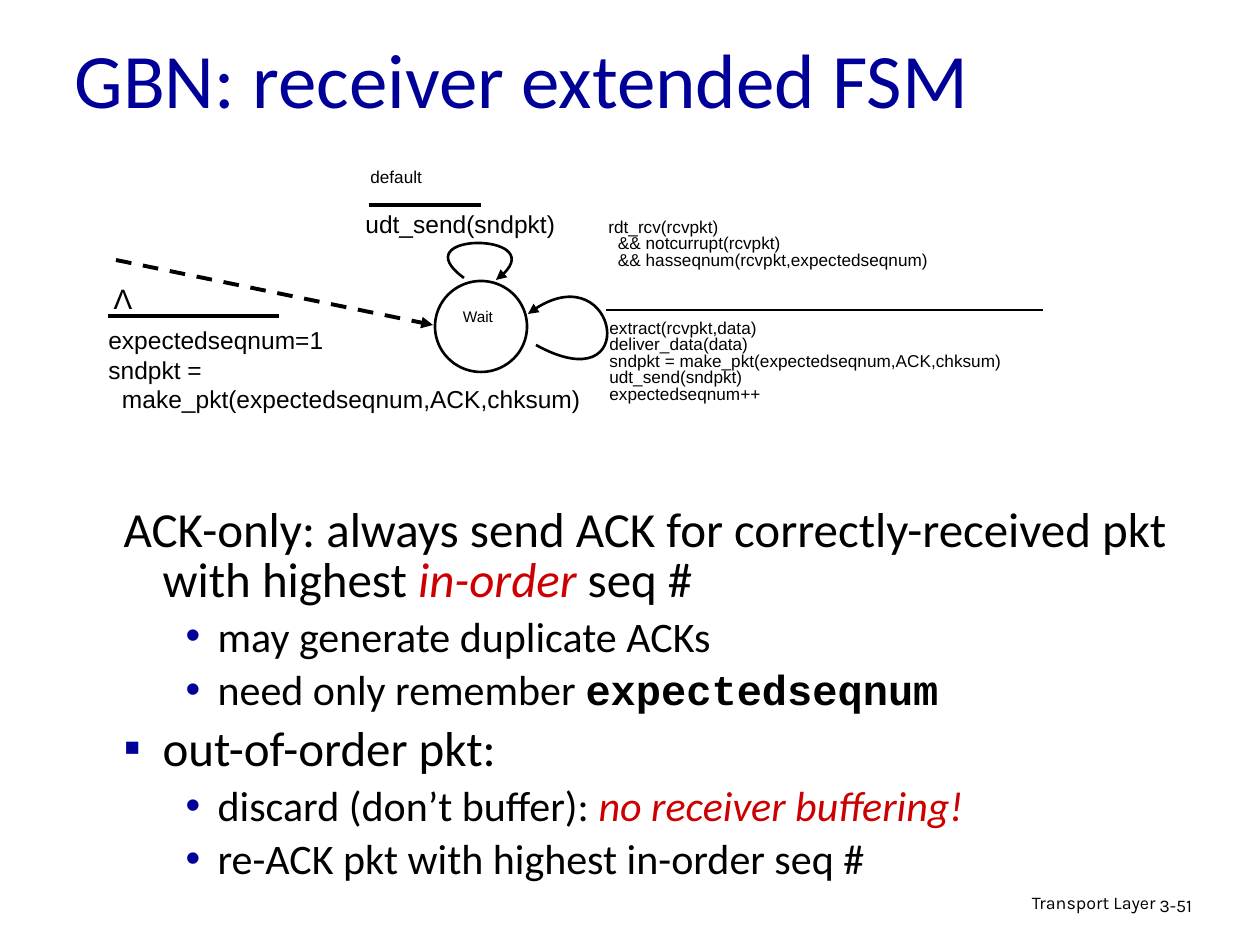
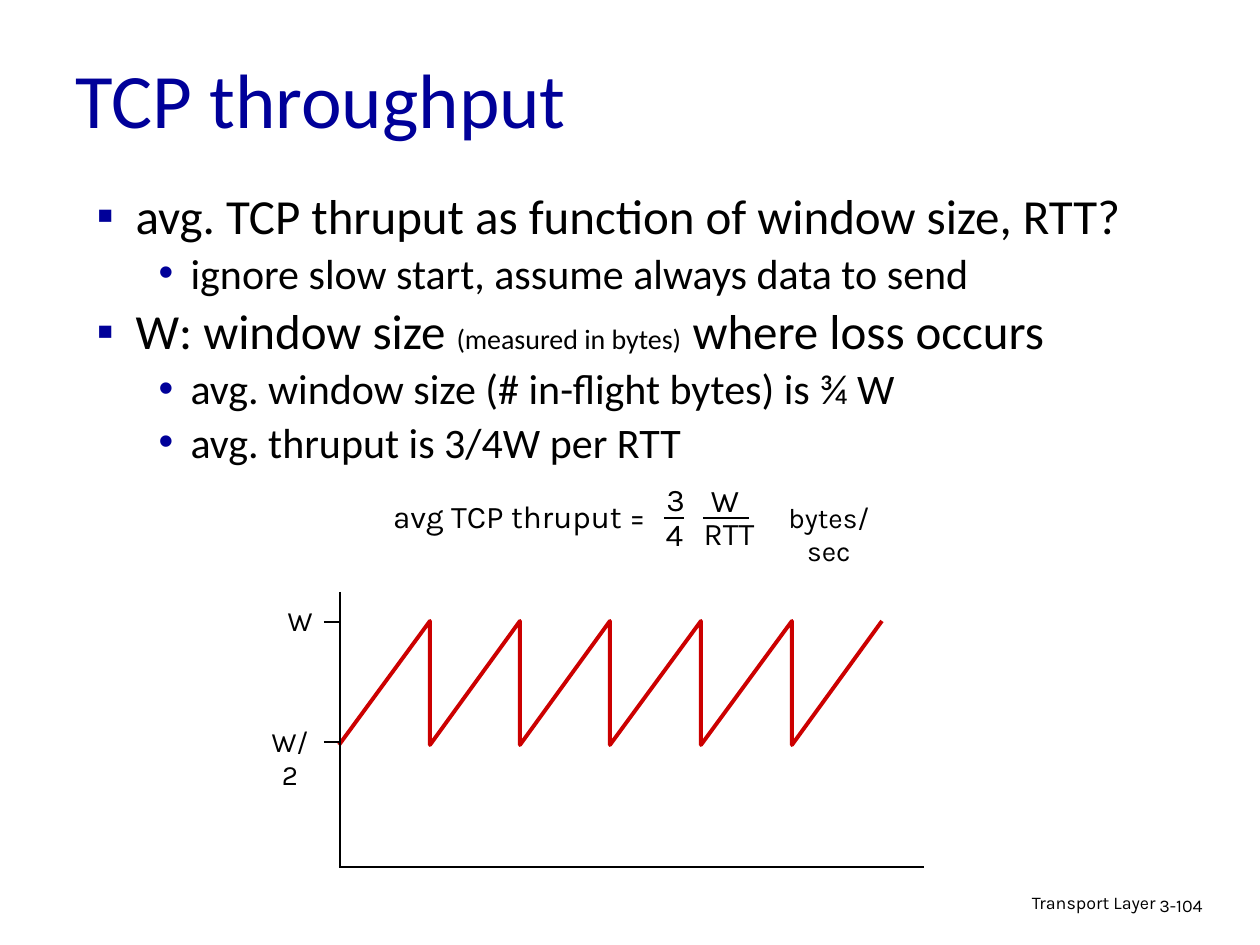
from lxml.etree import SubElement
from pptx import Presentation
from pptx.dml.color import RGBColor
from pptx.enum.dml import MSO_LINE
from pptx.enum.shapes import MSO_CONNECTOR, MSO_SHAPE
from pptx.enum.text import MSO_ANCHOR, MSO_AUTO_SIZE, PP_ALIGN
from pptx.oxml.ns import qn
from pptx.util import Emu, Pt

PX = 914400 / 126


class Theme:
    black = RGBColor(0x00, 0x00, 0x00)
    white = RGBColor(0xFF, 0xFF, 0xFF)
    blue = RGBColor(0x00, 0x00, 0x99)
    red = RGBColor(0xCC, 0x00, 0x00)
    text, code, diagram, note = "Calibri", "Courier New", "Arial", "Karla"
    title_size = 44
    thin, thick = Pt(1.5), Pt(2.25)
    # Body paragraphs: level, bullet, left margin, hanging indent, size, space before
    body = {
        "lead": (0, None, 39, 39, 28, 7),
        "point": (0, "▪", 39, 39, 28, 7),
        "detail": (1, "•", 94, 32, 24, 6),
    }
    # Labels: font, size, alignment, line spacing, wrap
    labels = {
        "footer": (note, 10.2, PP_ALIGN.RIGHT, 0.9, True),
        "number": (note, 10.2, PP_ALIGN.LEFT, 0.9, True),
        "state": (diagram, 8.8, PP_ALIGN.CENTER, 0.8, True),
        "event": (diagram, 9.8, PP_ALIGN.LEFT, 0.8, True),
        "action": (diagram, 14, PP_ALIGN.LEFT, 1.0, True),
        "symbol": (diagram, 16, PP_ALIGN.CENTER, 1.0, False),
        "axis": (note, 16, PP_ALIGN.CENTER, 1.0, True),
        "formula": (note, 18, PP_ALIGN.CENTER, 1.0, False),
    }


def emu(*lengths):
    """Turn px lengths into EMU."""
    return [Emu(round(length * PX)) for length in lengths]


def add_span(para, text, color=Theme.black, size=None, **formats):
    span = para.add_run()
    span.text = text
    span.font.color.rgb = color
    span.font.size = Pt(size)
    for name, value in formats.items():
        setattr(span.font, name, value)


emphasis = {"color": Theme.red, "italic": True}
variable = {"name": Theme.code, "bold": True}

# Sawtooth between W/2 and W: rise over one step, then drop
saw_left, saw_step, saw_high, saw_low = 339, 90.5, 621, 745
sawtooth = []
for tooth in range(6):
    start = saw_left + tooth * saw_step
    sawtooth += [(start, saw_low), (start + saw_step, saw_high)]

slides = [
    {
        "title": ("GBN: receiver extended FSM", (62, 29, 1071, 97)),
        "number": "3-51",
        "body_box": (111, 501, 1123, 393),
        "body": [
            ("lead", [
                ("ACK-only: always send ACK for correctly-received pkt with highest ", {}),
                ("in-order", emphasis),
                (" seq #", {}),
            ]),
            ("detail", [("may generate duplicate ACKs", {})]),
            ("detail", [("need only remember ", {}), ("expectedseqnum", variable)]),
            ("point", [("out-of-order pkt:", {})]),
            ("detail", [("discard (don’t buffer): ", {}), ("no receiver buffering!", emphasis)]),
            ("detail", [("re-ACK pkt with highest in-order seq #", {})]),
        ],
        "states": [(435, 281, 92, 91)],
        "loops": [
            [(536, 345), (643, 404), (617, 246), (528, 314)],
            [(464, 278), (401, 232), (561, 232), (496, 280)],
        ],
        "zigzags": [],
        "lines": [
            ((369, 205, 481, 205), Theme.thick),
            ((606, 310, 1043, 310), Theme.thin),
            ((108, 316, 279, 316), Theme.thick),
        ],
        "arrows": [(116, 260, 433, 325)],
        "labels": [
            ("state", "Wait", (423, 305, 110, 33)),
            ("action", "udt_send(sndpkt)", (353, 203, 223, 43)),
            ("event", "default", (358, 164, 100, 34)),
            ("event", "rdt_rcv(rcvpkt)\n  && notcurrupt(rcvpkt)\n"
                      "  && hasseqnum(rcvpkt,expectedseqnum)", (596, 214, 491, 78)),
            ("event", "extract(rcvpkt,data)\ndeliver_data(data)\n"
                      "sndpkt = make_pkt(expectedseqnum,ACK,chksum)\n"
                      "udt_send(sndpkt)\nexpectedseqnum++", (597, 315, 595, 118)),
            ("action", "expectedseqnum=1\nsndpkt =\n"
                       "  make_pkt(expectedseqnum,ACK,chksum)", (96, 319, 501, 135)),
            ("symbol", "Λ", (101, 275, 44, 47)),
        ],
    },
    {
        "title": ("TCP throughput", (63, 33, 1071, 129)),
        "number": "3-104",
        "body_box": (84, 188, 1139, 640),
        "body": [
            ("point", [("avg. TCP thruput as function of window size, RTT?", {})]),
            ("detail", [("ignore slow start, assume always data to send", {})]),
            ("point", [
                ("W: window size ", {}),
                ("(measured in bytes)", {"size": 16}),
                (" where loss occurs", {}),
            ]),
            ("detail", [("avg. window size (# in-flight bytes) is ¾ W", {})]),
            ("detail", [("avg. thruput is 3/4W per RTT", {})]),
        ],
        "states": [],
        "loops": [],
        "zigzags": [sawtooth],
        "lines": [(ends, Theme.thin) for ends in [
            (339, 867, 924, 867), (340, 592, 340, 868),  # axes
            (324, 622, 339, 622), (324, 742, 339, 742),  # ticks
            (664, 518, 684, 518), (703, 518, 749, 518),  # fraction bars
        ]],
        "arrows": [],
        "labels": [
            ("axis", "W", (275, 597, 50, 47)),
            ("axis", "W/2", (256, 718, 68, 47)),
            ("formula", "avg TCP thruput =", (370, 491, 299, 50)),
            ("formula", "3", (654, 474, 43, 50)),
            ("formula", "4", (653, 509, 43, 50)),
            ("formula", "W", (698, 475, 54, 50)),
            ("formula", "RTT", (689, 508, 80, 50)),
            ("axis", "bytes/sec", (761, 494, 136, 47)),
        ],
    },
]

deck = Presentation()
deck.slide_width, deck.slide_height = emu(1260, 945)

for content in slides:
    page = deck.slides.add_slide(deck.slide_layouts[1])
    title, body = page.placeholders
    title_text, title_box = content["title"]
    for holder, place in ((title, title_box), (body, content["body_box"])):
        holder.left, holder.top, holder.width, holder.height = emu(*place)
        holder.text_frame.auto_size = MSO_AUTO_SIZE.NONE

    title.text_frame.vertical_anchor = MSO_ANCHOR.MIDDLE
    heading = title.text_frame.paragraphs[0]
    heading.alignment = PP_ALIGN.LEFT
    add_span(heading, title_text, Theme.blue, Theme.title_size, name=Theme.text)

    for index, (kind, spans) in enumerate(content["body"]):
        level, bullet, margin, hang, size, gap = Theme.body[kind]
        frame = body.text_frame
        para = frame.add_paragraph() if index else frame.paragraphs[0]
        para.level = level
        props = para._p.get_or_add_pPr()
        for name, length in zip(("marL", "indent"), emu(margin, -hang)):
            props.set(name, str(length))
        if bullet:
            bullet_color = SubElement(props, qn("a:buClr"))
            SubElement(bullet_color, qn("a:srgbClr")).set("val", str(Theme.blue))
            SubElement(props, qn("a:buChar")).set("char", bullet)
        else:
            SubElement(props, qn("a:buNone"))
        para.line_spacing = 0.85
        para.space_before = Pt(gap if index else 0)
        for text, formats in spans:
            add_span(para, text, **{"size": size, "name": Theme.text, **formats})

    for place in content["states"]:
        state = page.shapes.add_shape(MSO_SHAPE.OVAL, *emu(*place))
        state.shadow.inherit = False
        state.fill.solid()
        state.fill.fore_color.rgb = Theme.white
        state.line.color.rgb = Theme.black
        state.line.width = Theme.thin

    pointed = []
    for points in content["loops"] + content["zigzags"]:
        builder = page.shapes.build_freeform(*points[0], scale=PX)
        builder.add_line_segments(points[1:], close=False)
        outline = builder.convert_to_shape()
        outline.shadow.inherit = False
        outline.fill.background()
        is_loop = points in content["loops"]
        outline.line.color.rgb = Theme.black if is_loop else Theme.red
        outline.line.width = Theme.thin if is_loop else Theme.thick
        if is_loop:
            # The three points after the start become one Bézier curve
            geometry = outline.element.find(".//" + qn("a:path"))
            segments = geometry.findall(qn("a:lnTo"))
            curve = SubElement(geometry, qn("a:cubicBezTo"))
            for segment in segments:
                curve.append(segment[0])
                geometry.remove(segment)
            pointed.append(outline)

    arrows = [(ends, Theme.thick) for ends in content["arrows"]]
    for ends, weight in content["lines"] + arrows:
        line = page.shapes.add_connector(MSO_CONNECTOR.STRAIGHT, *emu(*ends))
        line.line.color.rgb = Theme.black
        line.line.width = weight
        if ends in content["arrows"]:
            line.line.dash_style = MSO_LINE.DASH
            pointed.append(line)
        SubElement(line.element.spPr, qn("a:effectLst"))

    for shape in pointed:
        stroke = shape.element.spPr.get_or_add_ln()
        SubElement(stroke, qn("a:tailEnd")).set("type", "triangle")

    footers = [
        ("footer", "Transport Layer", (769, 888, 399, 39)),
        ("number", content["number"], (1147, 891, 93, 38)),
    ]
    for kind, text, place in content["labels"] + footers:
        font, size, align, spacing, wrap = Theme.labels[kind]
        frame = page.shapes.add_textbox(*emu(*place)).text_frame
        frame.word_wrap = wrap
        for index, row in enumerate(text.split("\n")):
            para = frame.add_paragraph() if index else frame.paragraphs[0]
            para.alignment = align
            para.line_spacing = spacing
            add_span(para, row, size=size, name=font)

deck.save("out.pptx")
